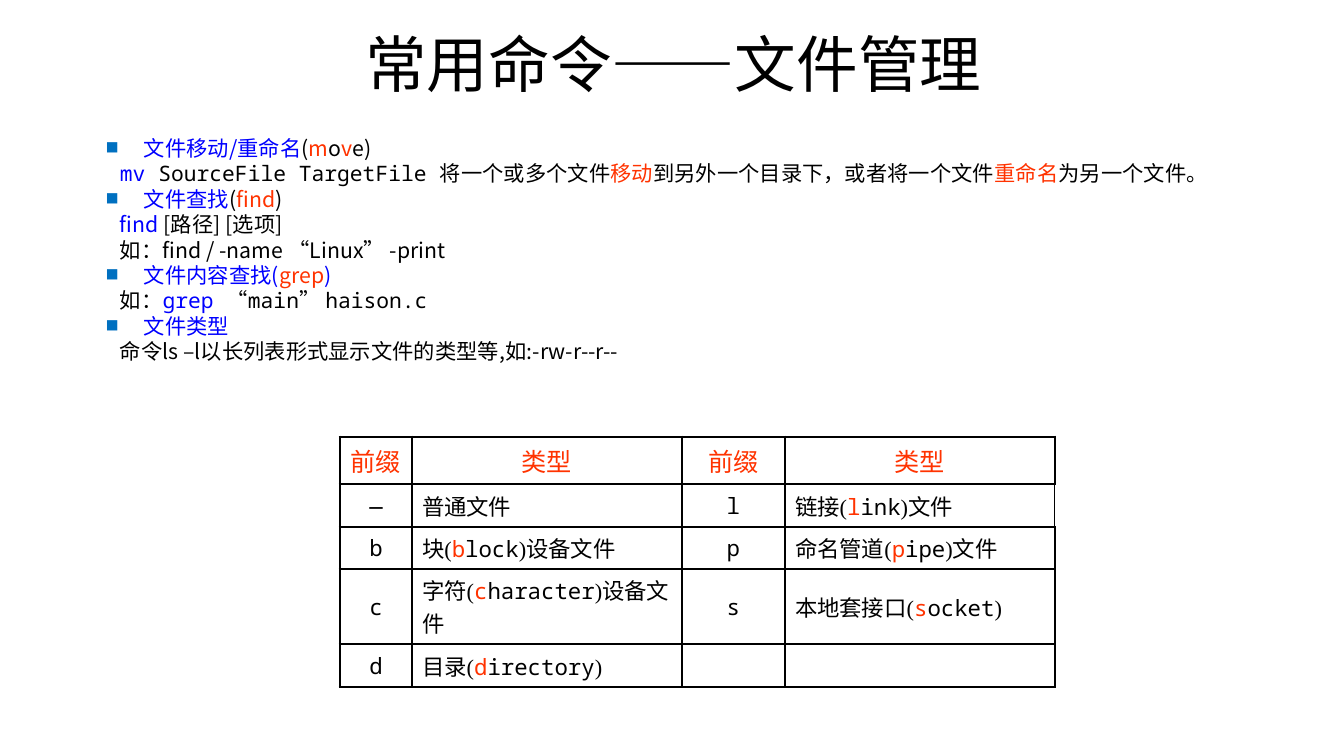
from lxml.etree import SubElement
from pptx import Presentation
from pptx.dml.color import RGBColor
from pptx.enum.text import MSO_ANCHOR, PP_ALIGN
from pptx.oxml.ns import qn
from pptx.util import Pt

PX = 12192000 / 1344
BLACK = RGBColor(0x00, 0x00, 0x00)
WHITE = RGBColor(0xFF, 0xFF, 0xFF)
BLUE = RGBColor(0x00, 0x00, 0xFF)
RED = RGBColor(0xFF, 0x33, 0x00)
BULLET = RGBColor(0x00, 0x70, 0xC0)
SANS, MONO, SERIF = "Noto Sans CJK SC", "Noto Sans Mono", "Times New Roman"

STYLES = {
    "black": (SANS, BLACK), "blue": (SANS, BLUE), "red": (SANS, RED),
    "code": (MONO, BLACK), "command": (MONO, BLUE), "letter": (MONO, RED),
    "cell": (SERIF, BLACK), "head": (SERIF, RED),
}
COMMANDS = [
    (True, [("文件移动/重命名", "blue"), ("(", "black"), ("m", "red"),
            ("o", "black"), ("v", "red"), ("e)", "black")]),
    (False, [("mv ", "command"), ("SourceFile TargetFile ", "code"),
             ("将一个或多个文件", "black"), ("移动", "red"),
             ("到另外一个目录下，或者将一个文件", "black"),
             ("重命名", "red"), ("为另一个文件。", "black")]),
    (True, [("文件查找", "blue"), ("(", "black"), ("find", "red"), (")", "black")]),
    (False, [("find", "blue"), (" [路径] [选项]", "black")]),
    (False, [("如：find / -name “Linux” -print", "black")]),
    (True, [("文件内容查找(", "blue"), ("grep", "red"), (")", "blue")]),
    (False, [("如：", "black"), ("grep", "command"), (" “main” haison.c", "code")]),
    (True, [("文件类型", "blue")]),
    (False, [("命令ls –l以长列表形式显示文件的类型等,如:-rw-r--r--", "black")]),
]
HEADERS = ["前缀", "类型", "前缀", "类型"]
FILE_TYPES = [
    ("—", "普通文件", "", "", "l", "链接(", "ink", ")文件"),
    ("b", "块(", "lock", ")设备文件", "p", "命名管道(", "ipe", ")文件"),
    ("c", "字符(", "haracter", ")设备文件", "s", "本地套接口(", "ocket", ")"),
    ("d", "目录(", "irectory", ")", "", "", "", ""),
]
COLUMNS = [72, 270, 103, 270]
ROWS = [47, 43, 42, 75, 43]


def px(n):
    """Turn pixels into EMU."""
    return round(n * PX)


def set_all(target, values):
    """Set every attribute named in a dict of format values."""
    for name, value in values.items():
        setattr(target, name, value)


def add_runs(p, runs, size):
    """Add the non-empty styled runs to a paragraph."""
    for text, style in runs:
        if text:
            r = p.add_run()
            r.text = text
            face, color = STYLES[style]
            set_all(r.font, {"size": Pt(size), "name": face})
            r.font.color.rgb = color
            SubElement(r.font._element, qn("a:ea"), typeface=SANS)


def add_text_box(s, box, anchor):
    """Add a wrapping text box and return its text frame."""
    tf = s.shapes.add_textbox(*map(px, box)).text_frame
    set_all(tf, {"word_wrap": True, "vertical_anchor": anchor})
    return tf


def add_bullet(p):
    """Give a paragraph the small square bullet."""
    pPr = p._p.get_or_add_pPr()
    color = SubElement(pPr, qn("a:buClr"))
    SubElement(color, qn("a:srgbClr"), val=str(BULLET))
    SubElement(pPr, qn("a:buFont"), typeface=MONO)
    SubElement(pPr, qn("a:buChar"), char="■")


def add_title(s, box):
    """Place the centred title."""
    p = add_text_box(s, box, MSO_ANCHOR.MIDDLE).paragraphs[0]
    p.alignment = PP_ALIGN.CENTER
    add_runs(p, [("常用命令——文件管理", "black")], 44)


def add_commands(s, box):
    """Place the list of commands with their usage lines."""
    tf = add_text_box(s, box, MSO_ANCHOR.TOP)
    for i, (is_topic, runs) in enumerate(COMMANDS):
        p = tf.add_paragraph() if i else tf.paragraphs[0]
        p.line_spacing = 0.8
        if i:
            p.space_before = Pt(3.6)
        pPr = p._p.get_or_add_pPr()
        pPr.set("marL", str(px(38 if is_topic else 14)))
        pPr.set("indent", str(px(-38 if is_topic else 0)))
        if is_topic:
            add_bullet(p)
        add_runs(p, runs, 15.2)


def set_borders(cell, row, col):
    """Draw thick outer and middle rules and thin inner ones."""
    thick = {
        "a:lnL": col == 0 or (col == 2 and row < 4),
        "a:lnR": (col == 1 and row < 4) or (col == 3 and row != 1),
        "a:lnT": row == 0 or (row == 4 and col > 1),
        "a:lnB": row == 4 or (row == 3 and col > 1),
    }
    tcPr = cell._tc.get_or_add_tcPr()
    for i, (tag, is_thick) in enumerate(thick.items()):
        ln = tcPr.makeelement(qn(tag), {"w": str(Pt(2.25 if is_thick else 1))})
        fill = SubElement(ln, qn("a:solidFill"))
        SubElement(fill, qn("a:srgbClr"), val=str(BLACK))
        tcPr.insert(i, ln)


def cell_runs(row, col):
    """Return the styled runs of one table cell."""
    if row == 0:
        return [(HEADERS[col], "head")]
    half = col // 2 * 4
    prefix, start, rest, end = FILE_TYPES[row - 1][half:half + 4]
    if col % 2 == 0:
        return [(prefix, "code")]
    letter = prefix if rest else ""
    return [(start, "cell"), (letter, "letter"), (rest, "code"), (end, "cell")]


def add_file_types(s, box):
    """Place the table of file type prefixes."""
    table = s.shapes.add_table(len(ROWS), len(COLUMNS), *map(px, box)).table
    set_all(table, {"first_row": False, "horz_banding": False})
    for column, width in zip(table.columns, COLUMNS):
        column.width = px(width)
    for row, height in enumerate(ROWS):
        table.rows[row].height = px(height)
        for col in range(len(COLUMNS)):
            cell = table.cell(row, col)
            cell.vertical_anchor = MSO_ANCHOR.MIDDLE
            cell.fill.solid()
            cell.fill.fore_color.rgb = WHITE
            set_borders(cell, row, col)
            p = cell.text_frame.paragraphs[0]
            if col % 2 == 0 or row == 0:
                p.alignment = PP_ALIGN.CENTER
            add_runs(p, cell_runs(row, col), 16 if row else 18)


def main():
    """Build the slide and save it."""
    prs = Presentation()
    set_all(prs, {"slide_width": px(1344), "slide_height": px(756)})
    s = prs.slides.add_slide(prs.slide_layouts[6])
    add_title(s, (94, 24, 1159, 77))
    add_commands(s, (96, 135, 1159, 357))
    add_file_types(s, (340, 437, sum(COLUMNS), sum(ROWS)))
    prs.save("out.pptx")


if __name__ == "__main__":
    main()
